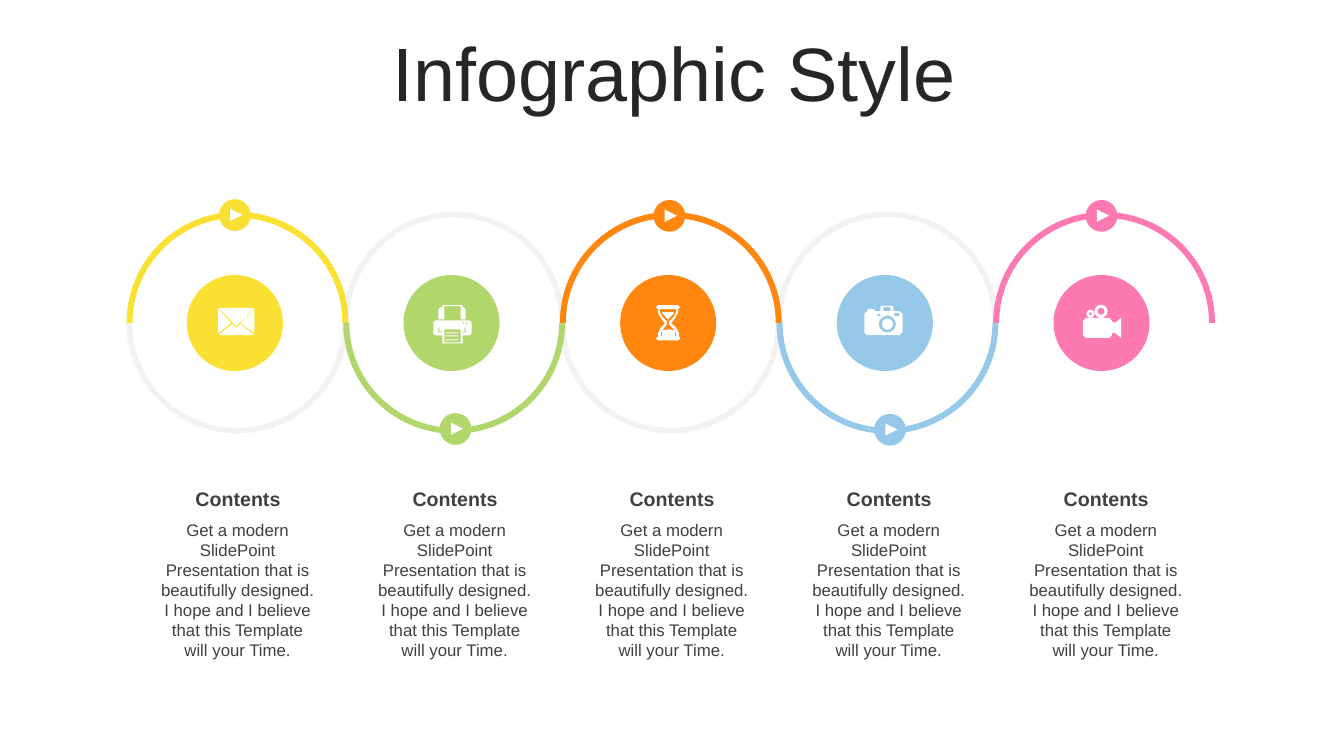
import math

import pptx
import pptx.dml.color
import pptx.enum.shapes
import pptx.enum.text
import pptx.util

Cm = pptx.util.Cm
Pt = pptx.util.Pt
RGBColor = pptx.dml.color.RGBColor
SHAPE = pptx.enum.shapes.MSO_SHAPE
ANCHOR = pptx.enum.text.MSO_ANCHOR

YELLOW = RGBColor(0xFB, 0xE0, 0x34)
GREEN = RGBColor(0xB0, 0xD6, 0x6C)
ORANGE = RGBColor(0xFF, 0x87, 0x0F)
BLUE = RGBColor(0x96, 0xC8, 0xE9)
PINK = RGBColor(0xFC, 0x79, 0xB2)
PALE = RGBColor(0xF2, 0xF2, 0xF2)
WHITE = RGBColor(0xFF, 0xFF, 0xFF)
INK = RGBColor(0x26, 0x26, 0x26)
GRAY = RGBColor(0x40, 0x40, 0x40)


def arc(cx, cy, radius, start, end, steps):
    """Points along an arc; degrees run clockwise from the right."""
    angles = [math.radians(start + (end - start) * i / steps) for i in range(steps + 1)]
    return [(cx + radius * math.cos(a), cy + radius * math.sin(a)) for a in angles]


def disc(cx, cy, radius, steps=14):
    return arc(cx, cy, radius, 0, 360, steps)[:-1]


def box(left, top, right, bottom):
    return [(left, top), (right, top), (right, bottom), (left, bottom)]


# Icon outlines on a grid of hundredths of 2.54 cm; inner outlines are holes.
ENVELOPE = [
    [(22, 16), (36, 27), (0, 27), (14, 16), (18, 20)],
    [(36, 1), (36, 25), (22, 15)],
    [(0, 1), (13, 15), (0, 25)],
    [(0, 0), (36, 0), (18, 18)],
]
PRINTER = [
    box(12, 34, 25, 35), box(12, 30, 25, 31), box(12, 27, 25, 28),
    box(11, 24, 27, 37), disc(33, 18, 1, 6), disc(30, 18, 1, 6),
    [(5, 22), (5, 27), (9, 27), (9, 26), (6, 26), (6, 22), (31, 22),
     (31, 26), (29, 26), (29, 27), (32, 27), (32, 22)],
    [(2, 15), (36, 15), (38, 17), (38, 28), (36, 30), (29, 30), (29, 38),
     (9, 38), (9, 30), (2, 30), (0, 28), (0, 17)],
    [(9, 0), (29, 0), (29, 2), (30, 2), (32, 4), (32, 14), (27, 14), (27, 1),
     (11, 1), (11, 14), (5, 14), (5, 4), (7, 2), (9, 2)],
]
HOURGLASS = [
    [(13, 24), (19, 25), (19, 31), (6, 31), (6, 25)],
    [(6, 7), (18, 7), (17, 9), (12, 14), (7, 9)],
    [(4, 4), (4, 7), (6, 11), (11, 16), (11, 19), (7, 24), (5, 27), (5, 31),
     (20, 31), (20, 27), (18, 24), (13, 19), (13, 16), (18, 11), (20, 7), (20, 4)],
    [(2, 0), (22, 0), (24, 2), (22, 4), (22, 7), (19, 13), (15, 18), (20, 22),
     (23, 28), (23, 31), (24, 33), (22, 35), (2, 35), (0, 33), (2, 31), (2, 28),
     (5, 22), (9, 18), (5, 13), (2, 7), (2, 4), (0, 2)],
]
CAMERA = [
    disc(23, 18, 5.5), disc(23, 18, 8.5),
    box(13, 8, 16, 10), box(30, 7, 35, 10), box(19, 1, 26, 5),
    [(17, 0), (28, 0), (29, 1), (29, 5), (35, 5), (38, 8), (38, 26), (35, 29),
     (3, 29), (0, 26), (0, 8), (3, 5), (3, 3), (10, 3), (10, 5), (16, 5), (16, 1)],
]
FILM_CAMERA = [
    disc(7.5, 9, 1.5, 6), disc(7.5, 9, 4), disc(18, 6.5, 3.5), disc(18, 6.5, 6.5),
    [(3, 13), (26, 13), (29, 16), (29, 17), (31, 17), (32, 18), (38, 13), (38, 33),
     (32, 28), (29, 28), (29, 30), (26, 33), (3, 33), (0, 30), (0, 16)],
]

TITLE = "Infographic Style"
HEADING = "Contents"
BODY = ("Get a modern SlidePoint Presentation that is beautifully designed. "
        "I hope and I believe that this Template will your Time.")
# colour, icon, icon left and top, badge left and top (cm)
STEPS = [
    (YELLOW, ENVELOPE, (5.5, 7.76), (5.52, 5.02)),
    (GREEN, PRINTER, (10.92, 7.69), (11.08, 10.41)),
    (ORANGE, HOURGLASS, (16.53, 7.69), (16.47, 5.04)),
    (BLUE, CAMERA, (21.78, 7.71), (22.03, 10.43)),
    (PINK, FILM_CAMERA, (27.29, 7.68), (27.36, 5.04)),
]

RING_PITCH = 5.46
TEXT_PITCH = 5.47
RING_SIZE = 5.59
RING_TOP = 5.34
RIBBON_CENTER = (5.98, 8.13)
OUTER, INNER = 2.8, 2.66
ICON_UNIT = 2.54 / 100

deck = pptx.Presentation()
deck.slide_width, deck.slide_height = Cm(33.87), Cm(19.05)
slide = deck.slides.add_slide(deck.slide_layouts[6])


def paint(shape, color):
    shape.shadow.inherit = False
    shape.fill.solid()
    shape.fill.fore_color.rgb = color
    shape.line.fill.background()


def add_solid(kind, left, top, size, color, rotation=0):
    shape = slide.shapes.add_shape(kind, Cm(left), Cm(top), Cm(size), Cm(size))
    shape.rotation = rotation
    paint(shape, color)
    return shape


def add_outline(contours, left, top, unit, color):
    builder = None
    for contour in contours:
        points = [(Cm(left + x * unit), Cm(top + y * unit)) for x, y in contour]
        if builder is None:
            builder = slide.shapes.build_freeform(*points[0])
        else:
            builder.move_to(*points[0])
        builder.add_line_segments(points[1:], close=True)
    paint(builder.convert_to_shape(), color)


def add_text(text, left, top, width, height, size, color, bold=False, inset=0.25):
    frame = slide.shapes.add_textbox(Cm(left), Cm(top), Cm(width), Cm(height)).text_frame
    frame.word_wrap = True
    frame.margin_left = frame.margin_right = Cm(inset)
    paragraph = frame.paragraphs[0]
    paragraph.alignment = pptx.enum.text.PP_ALIGN.CENTER
    run = paragraph.add_run()
    run.text = text
    run.font.name, run.font.size, run.font.bold = "Arial", Pt(size), bold
    run.font.color.rgb = color
    return frame


title = add_text(TITLE, 0.91, 0.94, 32.16, 2.01, 54, INK)
title.vertical_anchor = ANCHOR.MIDDLE
title.paragraphs[0].line_spacing = 0.9

# The pale wave runs under, over, under, over, then back along its other edge.
lower_edge, upper_edge = [], []
for i in range(len(STEPS) - 1):
    cx, cy = RIBBON_CENTER[0] + i * RING_PITCH, RIBBON_CENTER[1]
    end = 0 if i % 2 == 0 else 360
    lower_edge += arc(cx, cy, INNER if i % 2 else OUTER, 180, end, 18)
    upper_edge += arc(cx, cy, OUTER if i % 2 else INNER, 180, end, 18)
add_outline([lower_edge + upper_edge[::-1]], 0, 0, 1, PALE)

for i, (color, icon, icon_at, badge_at) in enumerate(STEPS):
    add_solid(SHAPE.OVAL, 4.71 + i * RING_PITCH, 6.93, 2.42, color)
    text_left = 3.74 + i * TEXT_PITCH
    add_text(BODY, text_left, 12.96, 4.5, 3.84, 12, GRAY)
    add_text(HEADING, text_left, 12.14, 4.52, 0.86, 14, GRAY, bold=True, inset=0.3)

    half_ring = add_solid(SHAPE.BLOCK_ARC, 3.19 + i * RING_PITCH, RING_TOP,
                          RING_SIZE, color, rotation=180 * (i % 2))
    half_ring.adjustments[2] = 0.027

    badge_left, badge_top = badge_at
    add_solid(SHAPE.OVAL, badge_left, badge_top, 0.8, color)
    add_solid(SHAPE.FLOWCHART_EXTRACT, badge_left + 0.28, badge_top + 0.24,
              0.31, WHITE, rotation=90)
    add_outline(icon, *icon_at, ICON_UNIT, WHITE)

deck.save("out.pptx")
